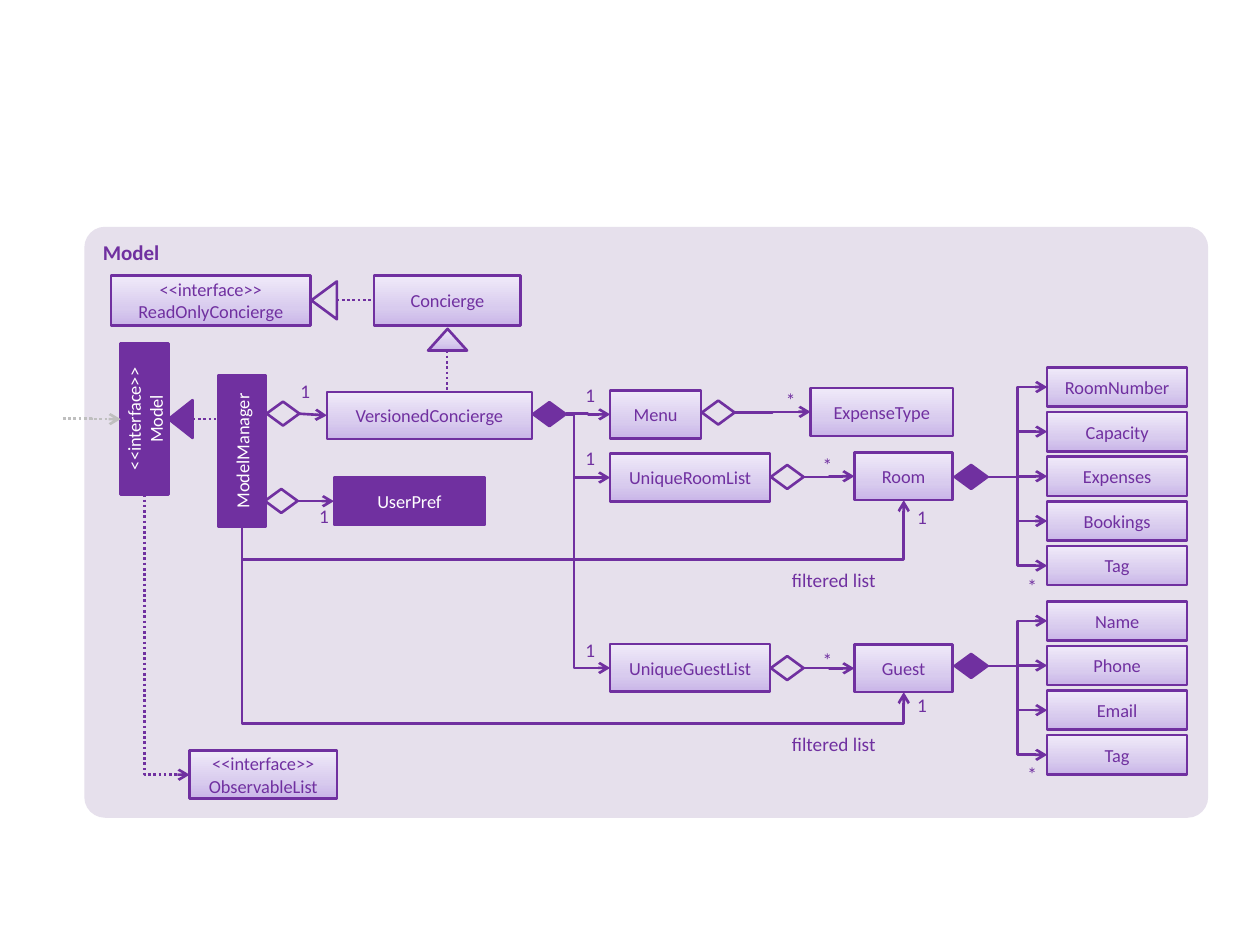
from copy import deepcopy

from lxml import etree
from pptx import Presentation
from pptx.dml.color import RGBColor
from pptx.enum.dml import MSO_LINE
from pptx.enum.shapes import MSO_CONNECTOR, MSO_SHAPE
from pptx.enum.text import MSO_ANCHOR, MSO_AUTO_SIZE, PP_ALIGN
from pptx.oxml.ns import qn
from pptx.util import Pt

RECT, PANEL = MSO_SHAPE.RECTANGLE, MSO_SHAPE.ROUNDED_RECTANGLE
DIAMOND, TRIANGLE = MSO_SHAPE.FLOWCHART_DECISION, MSO_SHAPE.ISOSCELES_TRIANGLE
STRAIGHT, ELBOW = MSO_CONNECTOR.STRAIGHT, MSO_CONNECTOR.ELBOW
LEFT, CENTER, RIGHT = PP_ALIGN.LEFT, PP_ALIGN.CENTER, PP_ALIGN.RIGHT
TOP, MIDDLE = MSO_ANCHOR.TOP, MSO_ANCHOR.MIDDLE
DOTS, GROW = MSO_LINE.ROUND_DOT, MSO_AUTO_SIZE.SHAPE_TO_FIT_TEXT

PURPLE = RGBColor(0x70, 0x30, 0xA0)
WHITE = RGBColor(0xFF, 0xFF, 0xFF)
GREY = RGBColor(0xBF, 0xBF, 0xBF)
LILAC = RGBColor(0xE6, 0xE0, 0xEC)
GRADIENT = [(0, RGBColor(0xC9, 0xB5, 0xE8)), (0.35, RGBColor(0xD8, 0xCB, 0xEE)),
            (1, RGBColor(0xF0, 0xEA, 0xF9))]
FONT = "Calibri"
INTERFACE = "<<interface>>"

# text, left, top, width, height
CLASSES = [
    (f"{INTERFACE}\nReadOnlyConcierge", 63.5, 157.4, 114, 28.8),
    ("Concierge", 213.8, 157.4, 83.8, 28.8),
    ("VersionedConcierge", 186.8, 224, 117.2, 26.8),
    ("Menu", 348.7, 223.2, 52, 27.3),
    ("ExpenseType", 463.2, 221.8, 81.4, 27.3),
    ("UniqueRoomList", 348.7, 259.2, 91.4, 27.3),
    ("Room", 488.2, 258.5, 56.3, 27.3),
    ("UniqueGuestList", 348.7, 368, 91.4, 27.3),
    ("Guest", 488.2, 368.2, 56.3, 27.3),
    (f"{INTERFACE}\nObservableList", 108.4, 429, 84.2, 27.3),
]
# text, left, top, rotation; all of one size
SOLID_W, SOLID_H = 86.4, 27.3
SOLID_CLASSES = [("UserPref", 190.8, 272.8, 0), ("ModelManager", 95.1, 244, 270),
                 (f"{INTERFACE}\nModel", 39.4, 225.7, 270)]
# names, first top, height of the diamond they belong to
ATTRIBUTES = [
    (["RoomNumber", "Capacity", "Expenses", "Bookings", "Tag"], 210, 272.6),
    (["Name", "Phone", "Email", "Tag"], 343.6, 380.6),
]
ATTR_X, ATTR_W, ATTR_H, ATTR_STEP = 598.4, 80, 22.4, 25.5
# left, top, filled
DIAMOND_W, DIAMOND_H = 18.7, 13.7
DIAMONDS = [
    (151.4, 279.4, False), (152.4, 229.5, False), (304.6, 229.8, True),
    (401.1, 228.9, False), (440.5, 265.7, False), (440.5, 374.9, False),
    (545.6, 265.7, True), (545.6, 373.7, True),
]
# left, top, width, height, rotation, fill
TRIANGLES = [
    (92.4, 232.6, 21.6, 13.7, 270, PURPLE), (174.4, 164.3, 21.6, 14.6, 270, LILAC),
    (244.6, 187.9, 22.3, 12.4, 0, GRADIENT),
]
# text, left, top
MULTIPLICITIES = [
    ("1", 167, 216.7), ("1", 177.6, 288.4), ("1", 329.8, 219.3), ("1", 329.8, 255.3),
    ("1", 329.8, 364.6), ("1", 519.4, 289), ("1", 519.4, 396.3), ("*", 444.3, 221.6),
    ("*", 465.3, 259.3), ("*", 465.3, 370.7), ("*", 582.3, 328.2), ("*", 582.3, 435.8),
]
FILTERED_LIST_TOPS = [321.2, 414.8]
# from, to, format
LINES = [
    ((170, 286.4), (190.8, 286.4), {"kind": STRAIGHT}),
    ((170.8, 236.4), (186.8, 237.4), {"kind": STRAIGHT}),
    ((110.2, 239.4), (126.7, 239.4), {"kind": STRAIGHT, "dash": DOTS, "arrow": False}),
    ((192.4, 171.5), (213.8, 171.5), {"dash": DOTS, "arrow": False}),
    ((36, 239.3), (69, 239.5), {"dash": DOTS, "color": GREY}),
    ((323.3, 236.4), (348.7, 236.8), {}),
    ((323.3, 236.7), (348.7, 272.9), {"bend": 0.19}),
    ((323.3, 236.7), (348.7, 381.7), {"bend": 0.19}),
    ((419.8, 235.9), (463.2, 235.4), {}),
    ((459.2, 272.6), (488.2, 272.2), {}),
    ((459.2, 381.7), (488.2, 381.9), {}),
    ((255.6, 200.3), (255.6, 224), {"down": True, "dash": DOTS, "arrow": False}),
    ((138.3, 300.9), (516.4, 285.8), {"down": True, "bend": -1.25}),
    ((138.3, 300.9), (516.4, 395.5), {"down": True, "bend": 1.19}),
    ((82.6, 282.5), (108.4, 442.7), {"down": True, "corner": True, "dash": DOTS}),
]


def add_text(sp, text, size=10.5, color=PURPLE, bold=False, align=CENTER,
             anchor=MIDDLE, inset=None):
    """Fill the shape with one paragraph per line of text."""
    tf = sp.text_frame
    tf.word_wrap = True
    tf.vertical_anchor = anchor
    if inset is not None:
        tf.margin_left = tf.margin_top = tf.margin_right = tf.margin_bottom = Pt(inset)
    for i, line in enumerate(text.split("\n")):
        p = tf.add_paragraph() if i else tf.paragraphs[0]
        p.alignment = align
        r = p.add_run()
        r.text = line
        r.font.name, r.font.size, r.font.bold = FONT, Pt(size), bold
        r.font.color.rgb = color


def add_shape(s, kind, x, y, w, h, fill=GRADIENT, line=PURPLE, rotation=0):
    """Draw a preset shape; fill is a colour, the gradient or None."""
    sp = s.shapes.add_shape(kind, Pt(x), Pt(y), Pt(w), Pt(h))
    sp.shadow.inherit = False
    sp.rotation = rotation
    if fill is None:
        sp.fill.background()
    elif fill is GRADIENT:
        sp.fill.gradient()
        sp.fill.gradient_angle = 90
        stops = sp.element.spPr.find(".//" + qn("a:gsLst"))
        stops.append(deepcopy(stops[0]))
        for stop, (position, color) in zip(sp.fill.gradient_stops, GRADIENT):
            stop.position, stop.color.rgb = position, color
    else:
        sp.fill.solid()
        sp.fill.fore_color.rgb = fill
    if line is None:
        sp.line.fill.background()
    else:
        sp.line.color.rgb, sp.line.width = line, Pt(1.5)
    return sp


def add_label(s, text, x, y, w, h, **fmt):
    """Write a free-standing label."""
    tb = s.shapes.add_textbox(Pt(x), Pt(y), Pt(w), Pt(h))
    add_text(tb, text, size=11, anchor=TOP, **fmt)
    return tb


def add_line(s, start, end, kind=ELBOW, bend=0.5, down=False, corner=False,
             dash=None, arrow=True, color=PURPLE):
    """Connect two points; a down line leaves its start vertically."""
    (x1, y1), (x2, y2) = start, end
    if down:
        cx, cy, w, h = (x1 + x2) / 2, (y1 + y2) / 2, abs(y2 - y1), x2 - x1
        x1, x2, y1, y2 = cx - w / 2, cx + w / 2, cy - h / 2, cy + h / 2
        if end[1] > start[1]:
            x1, x2 = x2, x1
    ln = s.shapes.add_connector(kind, Pt(x1), Pt(y1), Pt(x2), Pt(y2))
    spPr = ln.element.spPr
    if down:
        spPr.find(qn("a:xfrm")).set("rot", str(270 * 60000))
    geom = spPr.find(qn("a:prstGeom"))
    if corner:
        geom.set("prst", "bentConnector2")
    elif kind == ELBOW:
        etree.SubElement(geom.find(qn("a:avLst")), qn("a:gd"), name="adj1",
                         fmla=f"val {round(bend * 100000)}")
    ln.line.color.rgb, ln.line.width = color, Pt(1.5)
    if dash is not None:
        ln.line.dash_style = dash
    if arrow:
        etree.SubElement(spPr.find(qn("a:ln")), qn("a:tailEnd"), type="arrow")
    etree.SubElement(spPr, qn("a:effectLst"))


def build():
    """Build the class diagram slide."""
    prs = Presentation()
    prs.slide_width, prs.slide_height = Pt(720), Pt(540)
    s = prs.slides.add_slide(prs.slide_layouts[6])
    panel = add_shape(s, PANEL, 48.2, 129.6, 642.2, 337.7, fill=LILAC, line=None)
    panel.adjustments[0] = 0.035
    add_text(panel, "Model", size=12, bold=True, align=LEFT, anchor=TOP)

    for text, *box in CLASSES:
        add_text(add_shape(s, RECT, *box), text)
    for text, x, y, rotation in SOLID_CLASSES:
        sp = add_shape(s, RECT, x, y, SOLID_W, SOLID_H, fill=PURPLE, rotation=rotation)
        add_text(sp, text, color=WHITE)
    for x, y, filled in DIAMONDS:
        add_shape(s, DIAMOND, x, y, DIAMOND_W, DIAMOND_H, fill=PURPLE if filled else None)
    for x, y, w, h, rotation, fill in TRIANGLES:
        add_shape(s, TRIANGLE, x, y, w, h, fill=fill, rotation=rotation)

    for names, top, owner_y in ATTRIBUTES:
        for i, name in enumerate(names):
            y = top + i * ATTR_STEP
            add_text(add_shape(s, RECT, ATTR_X, y, ATTR_W, ATTR_H), name)
            add_line(s, (564.3, owner_y), (ATTR_X, y + ATTR_H / 2))
    for start, end, fmt in LINES:
        add_line(s, start, end, **fmt)

    for text, x, y in MULTIPLICITIES:
        add_label(s, text, x, y, 15, 14.4, inset=0)
    for y in FILTERED_LIST_TOPS:
        add_label(s, "filtered list", 438.5, y, 69, 20.6,
                  align=RIGHT).text_frame.auto_size = GROW
    prs.save("out.pptx")


build()
